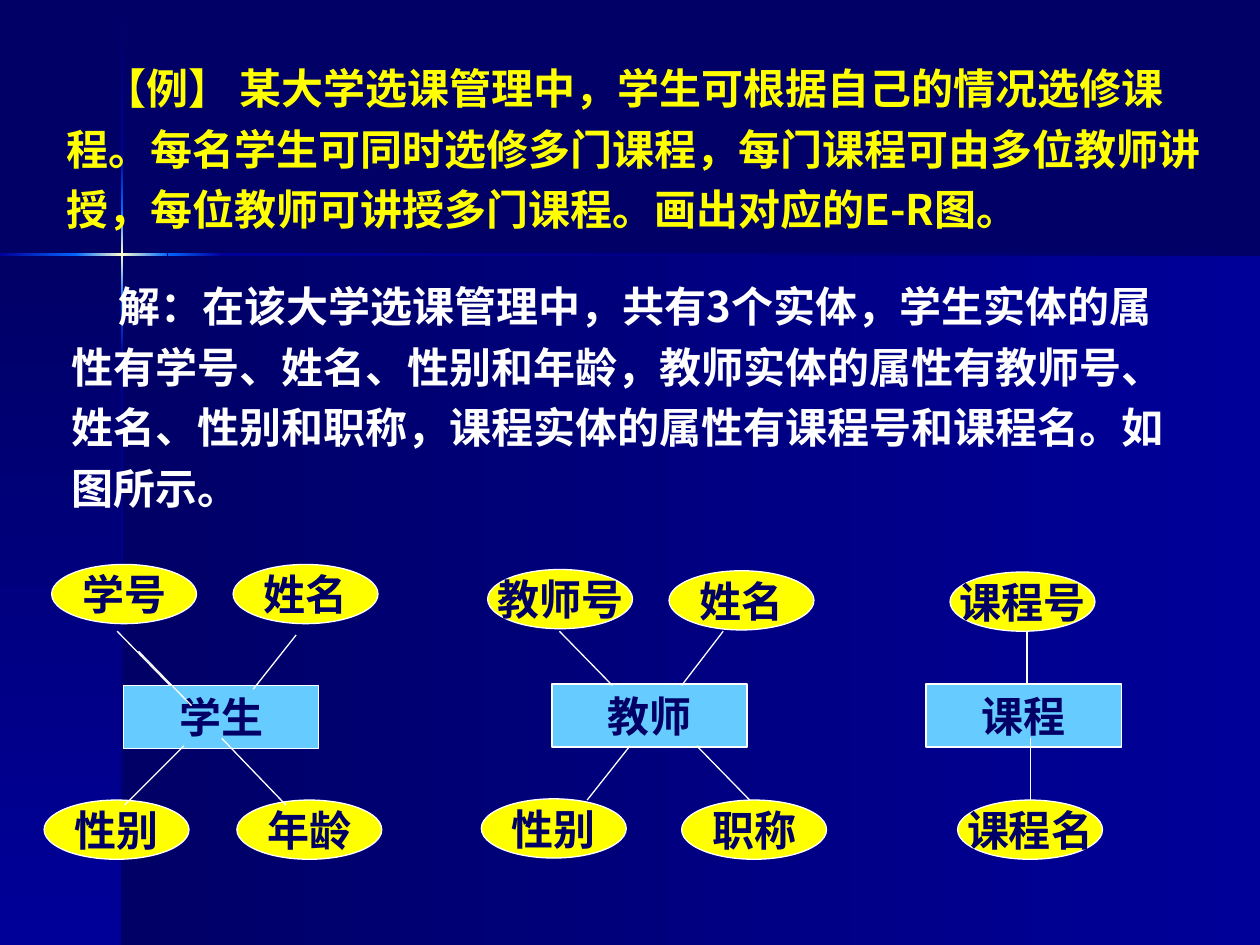
from copy import deepcopy
from typing import Any, NamedTuple

from lxml import etree
from pptx import Presentation
from pptx.dml import color
from pptx.enum import shapes, text
from pptx.oxml import ns
from pptx.util import Inches, Pt

HUES = {
    "navy": "000066",
    "blue": "000099",
    "azure": "0066FF",
    "cream": "FFFFCC",
    "sky": "66CCFF",
    "yellow": "FFFF00",
    "white": "FFFFFF",
}
SANS = "Noto Sans CJK SC"
SERIF = "Times New Roman"
DOWN, ACROSS = 270, 0
FONT = {"size": Pt(24), "bold": True}
FRAME = {
    "margin_left": Inches(0.1),
    "margin_right": Inches(0.1),
    "margin_top": Inches(0.05),
    "margin_bottom": Inches(0.05),
}


class Band(NamedTuple):
    x: float
    y: float
    w: float
    h: float
    hues: tuple[str, ...]
    angle: int


class Passage(NamedTuple):
    x: float
    y: float
    w: float
    h: float
    indent: float
    hue: str
    words: str


class Node(NamedTuple):
    words: str
    x: float
    y: float


class Kind(NamedTuple):
    form: Any
    w: float
    h: float
    hue: str
    wrap: bool


class Link(NamedTuple):
    x1: float
    y1: float
    x2: float
    y2: float


ENTITY = Kind(shapes.MSO_SHAPE.RECTANGLE, 1.55, 0.5, "sky", True)
TRAIT = Kind(shapes.MSO_SHAPE.OVAL, 1.15, 0.47, "yellow", False)

FADE = ("blue", "azure")
GLOW = ("azure", "cream", "azure")
BANDS = [
    Band(0.97, 2.02, 9.03, 5.48, ("navy", "blue"), ACROSS),
    Band(0, 2.02, 0.97, 5.48, ("navy", "blue"), DOWN),
    Band(0.96, 0.01, 0.02, 1.2, ("navy", "blue"), DOWN),
    Band(0.96, 2.82, 0.02, 4.68, ("blue", "navy"), DOWN),
    Band(1.77, 2.01, 8.23, 0.02, ("blue", "navy"), ACROSS),
    Band(0.96, 2.38, 0.02, 0.44, FADE[::-1], DOWN),
    Band(0.96, 1.21, 0.02, 0.44, FADE, DOWN),
    Band(0.96, 1.65, 0.02, 0.73, GLOW, DOWN),
    Band(0, 2.01, 0.61, 0.02, FADE, ACROSS),
    Band(1.33, 2.01, 0.44, 0.02, FADE[::-1], ACROSS),
    Band(0.6, 2.01, 0.73, 0.02, GLOW, ACROSS),
]
PROSE = [
    Passage(0.43, 0.37, 9.21, 1.54, 0.3, "yellow",
            "【例】 某大学选课管理中，学生可根据自己的情况选修课程。"
            "每名学生可同时选修多门课程，每门课程可由多位教师讲授，"
            "每位教师可讲授多门课程。画出对应的E-R图。"),
    Passage(0.47, 2.1, 8.98, 2.02, 0.37, "white",
            "解：在该大学选课管理中，共有3个实体，学生实体的属性有学号、姓名、性别和年龄，"
            "教师实体的属性有教师号、姓名、性别和职称，课程实体的属性有课程号和课程名。如图所示。"),
]
NODES = {
    ENTITY: [Node("学生", 0.98, 5.44), Node("教师", 4.38, 5.43), Node("课程", 7.35, 5.43)],
    TRAIT: [
        Node("学号", 0.41, 4.48), Node("姓名", 1.85, 4.48),
        Node("性别", 0.35, 6.35), Node("年龄", 1.88, 6.35),
        Node("教师号", 3.87, 4.52), Node("姓名", 5.31, 4.53),
        Node("性别", 3.82, 6.34), Node("职称", 5.41, 6.35),
        Node("课程号", 7.54, 4.54), Node("课程名", 7.6, 6.35),
    ],
}
LINKS = [
    Link(0.93, 5.01, 1.35, 5.44), Link(1.1, 5.17, 1.52, 5.6),
    Link(2.35, 5.04, 2.01, 5.47), Link(1.46, 5.92, 0.99, 6.39),
    Link(1.76, 5.86, 2.27, 6.39), Link(4.44, 5.01, 4.86, 5.44),
    Link(5.74, 5.01, 5.41, 5.44), Link(5, 5.92, 4.66, 6.35),
    Link(5.53, 5.92, 5.95, 6.35), Link(8.15, 5.01, 8.15, 5.44),
    Link(8.18, 5.86, 8.18, 6.35),
]


def rgb(hue: str) -> color.RGBColor:
    return color.RGBColor.from_string(HUES[hue])


def apply(target: Any, values: dict[str, Any]) -> None:
    for key, value in values.items():
        setattr(target, key, value)


def write(frame: Any, words: str, face: str, hue: str, wrap: bool) -> Any:
    apply(frame, FRAME | {"word_wrap": wrap})
    para = frame.paragraphs[0]
    run = para.add_run()
    run.text = words
    apply(run.font, FONT | {"name": face})
    run.font.color.rgb = rgb(hue)
    etree.SubElement(run.font._element, ns.qn("a:ea"), typeface=SANS)
    return para


def draw_band(slide: Any, band: Band) -> None:
    box = slide.shapes.add_shape(
        shapes.MSO_SHAPE.RECTANGLE, *map(Inches, band[:4]))
    box.shadow.inherit = False
    box.line.fill.background()
    box.fill.gradient()
    box.fill.gradient_angle = band.angle
    stops = box._element.spPr.find(".//" + ns.qn("a:gsLst"))
    while len(stops) < len(band.hues):
        stops.append(deepcopy(stops[-1]))
    for i, (stop, hue) in enumerate(zip(box.fill.gradient_stops, band.hues)):
        stop.position = i / (len(band.hues) - 1)
        stop.color.rgb = rgb(hue)


def draw_prose(slide: Any, item: Passage) -> None:
    box = slide.shapes.add_textbox(*map(Inches, item[:4]))
    para = write(box.text_frame, item.words, SANS, item.hue, True)
    para.line_spacing = 1.2
    para._p.get_or_add_pPr().set("indent", str(Inches(item.indent)))


def draw_node(slide: Any, node: Node, kind: Kind) -> None:
    box = slide.shapes.add_shape(
        kind.form, *map(Inches, (node.x, node.y, kind.w, kind.h)))
    box.shadow.inherit = False
    box.fill.solid()
    box.fill.fore_color.rgb = rgb(kind.hue)
    box.line.color.rgb = rgb("white")
    box.line.width = Pt(0.75)
    box.text_frame.vertical_anchor = text.MSO_ANCHOR.MIDDLE
    para = write(box.text_frame, node.words, SERIF, "navy", kind.wrap)
    para.alignment = text.PP_ALIGN.CENTER


def draw_link(slide: Any, link: Link) -> None:
    line = slide.shapes.add_connector(
        shapes.MSO_CONNECTOR.STRAIGHT, *map(Inches, link))
    line.line.color.rgb = rgb("white")
    line.line.width = Pt(0.75)
    etree.SubElement(line._element.spPr, ns.qn("a:effectLst"))


def main() -> None:
    deck = Presentation()
    apply(deck, {"slide_width": Inches(10), "slide_height": Inches(7.5)})
    slide = deck.slides.add_slide(deck.slide_layouts[6])
    slide.background.fill.solid()
    slide.background.fill.fore_color.rgb = rgb("navy")
    for band in BANDS:
        draw_band(slide, band)
    for item in PROSE:
        draw_prose(slide, item)
    for kind, nodes in NODES.items():
        for node in nodes:
            draw_node(slide, node, kind)
    for link in LINKS:
        draw_link(slide, link)
    deck.save("out.pptx")


if __name__ == "__main__":
    main()
